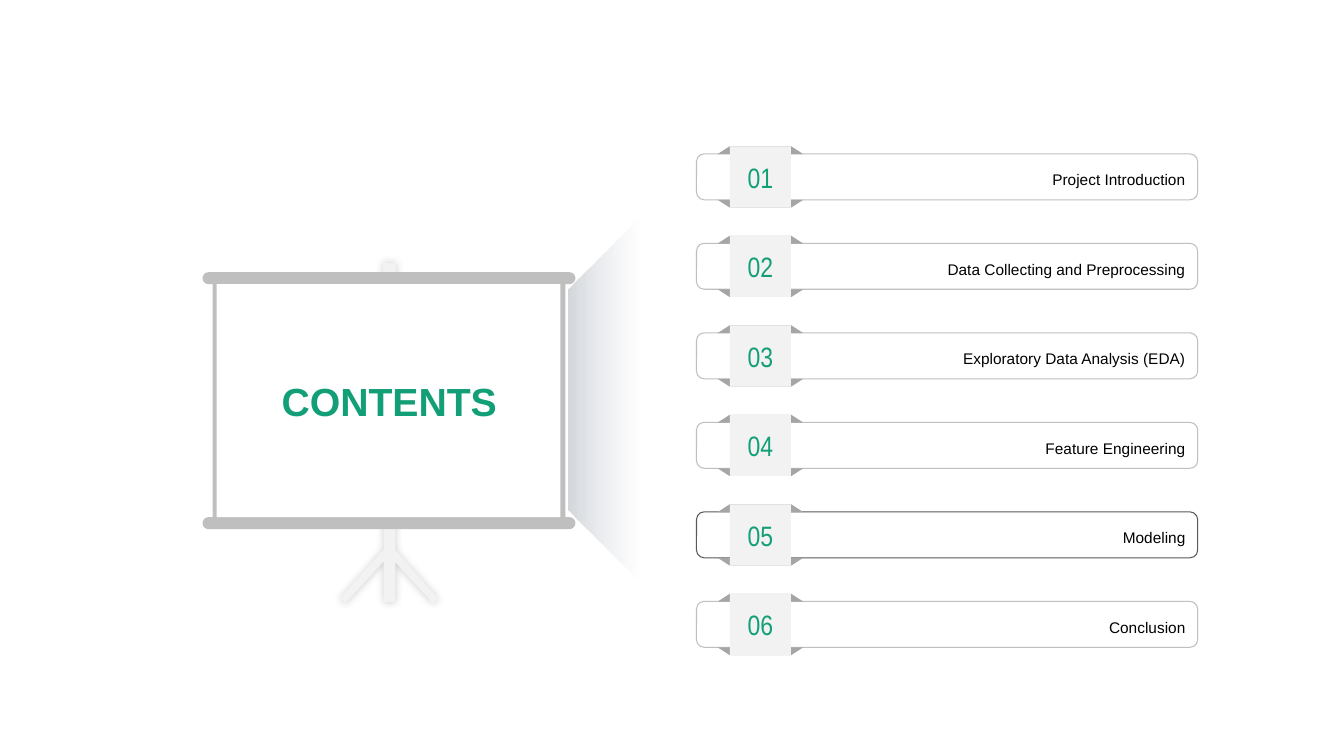
from dataclasses import dataclass
from math import cos, radians, sin

from lxml import etree
from pptx import Presentation
from pptx import util as u
from pptx.dml.color import RGBColor
from pptx.enum import shapes, text
from pptx.oxml import parse_xml
from pptx.oxml.ns import nsdecls, qn
from pptx.shapes.autoshape import Shape
from pptx.slide import Slide
from pptx.text.text import TextFrame

Point = tuple[float, float]


@dataclass(frozen=True)
class Theme:
    accent: str = "129F77"
    ink: str = "000000"
    paper: str = "FFFFFF"
    pale: str = "F2F2F2"
    frame: str = "BFBFBF"
    flap: str = "A5A5A5"
    strong: str = "595959"
    beam_start: str = "D4D8DD"
    beam_end: str = "E4E6EA"
    body_font: str = "Arial"
    number_font: str = "Arial Narrow"
    title_size: float = 28
    number_size: float = 20
    item_size: float = 11
    rule: float = 0.75


@dataclass(frozen=True)
class Box:
    left: float
    top: float
    width: float
    height: float

    def lengths(self) -> tuple[u.Length, ...]:
        return tuple(u.Pt(v) for v in (self.left, self.top, self.width, self.height))


@dataclass(frozen=True)
class Entry:
    label: str
    border: str


THEME = Theme()
KIND = shapes.MSO_SHAPE
ENTRIES = [
    Entry("Project Introduction", THEME.frame),
    Entry("Data Collecting and Preprocessing", THEME.frame),
    Entry("Exploratory Data Analysis (EDA)", THEME.frame),
    Entry("Feature Engineering", THEME.frame),
    Entry("Modeling", THEME.strong),
    Entry("Conclusion", THEME.frame),
]
FIRST_TOP = 104.6
ROW_PITCH = 63.93
TAG_SIZE = 43.6
FLAP_HEIGHT = 5.5
BAR_INSET = 5.3
BAR_HEIGHT = 32.8

POLE_TOP = [(273.6, 187.9), (283, 187.9), (283, 200.9), (273.6, 200.9)]
TRIPOD = [
    (274.1, 357.1), (282.5, 357.1), (282.5, 393.1), (313.2, 427.7),
    (308.9, 430.6), (282.5, 401.8), (282.5, 430), (274.1, 430),
    (274.1, 401), (247, 430.6), (242.6, 427.7), (274.1, 392.4),
]
CAP_RADIUS = 4.25
CAP_LEFT, CAP_RIGHT = 149, 406.8
RAIL_TOP, RAIL_BOTTOM = 198.7, 373.7
POST_LEFT, POST_RIGHT = 151.9, 403.9


def paint(shape: Shape, fill: str | None, border: str | None = None) -> None:
    shape.shadow.inherit = False
    if fill:
        shape.fill.solid()
        shape.fill.fore_color.rgb = RGBColor.from_string(fill)
    else:
        shape.fill.background()
    if border:
        shape.line.color.rgb = RGBColor.from_string(border)
        shape.line.width = u.Pt(THEME.rule)
    else:
        shape.line.fill.background()


def add_box(page: Slide, kind: shapes.MSO_SHAPE, box: Box,
            fill: str | None, border: str | None = None) -> Shape:
    shape = page.shapes.add_shape(kind, *box.lengths())
    paint(shape, fill, border)
    return shape


def write(frame: TextFrame, words: str, align: text.PP_ALIGN, font: str,
          size: float, color: str, bold: bool = False, spacing: float = 1.0) -> None:
    frame.word_wrap = True
    frame.auto_size = text.MSO_AUTO_SIZE.NONE
    frame.vertical_anchor = text.MSO_ANCHOR.MIDDLE
    para = frame.paragraphs[0]
    para.alignment = align
    para.line_spacing = spacing
    span = para.add_run()
    span.text = words
    span.font.name = font
    span.font.size = u.Pt(size)
    span.font.bold = bold
    span.font.color.rgb = RGBColor.from_string(color)


def add_outline(page: Slide, contours: list[list[Point]], fill: str) -> Shape:
    scaled = [[(u.Pt(x), u.Pt(y)) for x, y in contour] for contour in contours]
    builder = page.shapes.build_freeform(*scaled[0][0])
    builder.add_line_segments(scaled[0][1:], close=True)
    for contour in scaled[1:]:
        builder.move_to(*contour[0])
        builder.add_line_segments(contour[1:], close=True)
    shape = builder.convert_to_shape()
    paint(shape, fill)
    return shape


def cap(x: float, y: float, start: int) -> list[Point]:
    angles = [radians(start + step) for step in range(0, 181, 15)]
    return [(x + CAP_RADIUS * cos(a), y + CAP_RADIUS * sin(a)) for a in angles]


def add_glow(shape: Shape) -> None:
    effects = shape.element.spPr.find(qn("a:effectLst"))
    shadow = etree.SubElement(effects, qn("a:outerShdw"), blurRad=str(u.Pt(6)), dist="0",
                              algn="ctr", rotWithShape="0")
    color = etree.SubElement(shadow, qn("a:srgbClr"), val=THEME.ink)
    etree.SubElement(color, qn("a:alpha"), val="20000")


def add_beam(page: Slide) -> None:
    beam = add_box(page, KIND.TRAPEZOID, Box(301, 259.9, 261.4, 51.1), THEME.beam_start)
    beam.adjustments[0] = 1.013
    beam.rotation = 270
    gradient = parse_xml(
        f'<a:gradFill {nsdecls("a")} rotWithShape="1"><a:gsLst>'
        f'<a:gs pos="0"><a:srgbClr val="{THEME.beam_start}"/></a:gs>'
        f'<a:gs pos="100000"><a:srgbClr val="{THEME.beam_end}"><a:alpha val="0"/></a:srgbClr></a:gs>'
        '</a:gsLst><a:lin ang="5400000" scaled="0"/></a:gradFill>')
    properties = beam.element.spPr
    properties.replace(properties.find(qn("a:solidFill")), gradient)


def add_easel(page: Slide) -> None:
    add_glow(add_outline(page, [POLE_TOP, TRIPOD], THEME.pale))
    rail_bottom_edge = RAIL_TOP + CAP_RADIUS
    lower_rail_edge = RAIL_BOTTOM - CAP_RADIUS
    frame = (
        cap(CAP_LEFT, RAIL_TOP, 90) + cap(CAP_RIGHT, RAIL_TOP, 270)
        + [(POST_RIGHT, rail_bottom_edge), (POST_RIGHT, lower_rail_edge)]
        + cap(CAP_RIGHT, RAIL_BOTTOM, 270) + cap(CAP_LEFT, RAIL_BOTTOM, 90)
        + [(POST_LEFT, lower_rail_edge), (POST_LEFT, rail_bottom_edge)]
    )
    add_outline(page, [frame], THEME.frame)
    add_box(page, KIND.RECTANGLE, Box(154.8, 203, 245.6, 166.4), THEME.paper)
    add_beam(page)


def add_title(page: Slide) -> None:
    title = page.shapes.title
    title.left, title.top, title.width, title.height = Box(193, 265.7, 170, 41).lengths()
    write(title.text_frame, "CONTENTS", text.PP_ALIGN.CENTER, THEME.body_font,
          THEME.title_size, THEME.accent, bold=True)
    title.element.getparent().append(title.element)


def add_entry(page: Slide, index: int, entry: Entry) -> None:
    top = FIRST_TOP + index * ROW_PITCH
    bar = add_box(page, KIND.ROUNDED_RECTANGLE,
                  Box(497.5, top + BAR_INSET, 358, BAR_HEIGHT), None, entry.border)
    write(bar.text_frame, entry.label, text.PP_ALIGN.RIGHT, THEME.body_font,
          THEME.item_size, THEME.ink, spacing=1.3)
    for offset, turn in ((TAG_SIZE - FLAP_HEIGHT, 180), (0, 0)):
        flap = add_box(page, KIND.TRAPEZOID, Box(512.6, top + offset, 61.2, FLAP_HEIGHT), THEME.flap)
        flap.adjustments[0] = 1.546
        flap.rotation = turn
    tag = add_box(page, KIND.RECTANGLE, Box(521.4, top, TAG_SIZE, TAG_SIZE), THEME.pale)
    write(tag.text_frame, f"{index + 1:02}", text.PP_ALIGN.CENTER, THEME.number_font,
          THEME.number_size, THEME.accent)


def main() -> None:
    deck = Presentation()
    deck.slide_width, deck.slide_height = u.Pt(960), u.Pt(540)
    page = deck.slides.add_slide(deck.slide_layouts[5])
    add_easel(page)
    add_title(page)
    for index, entry in enumerate(ENTRIES):
        add_entry(page, index, entry)
    deck.save("out.pptx")


if __name__ == "__main__":
    main()
